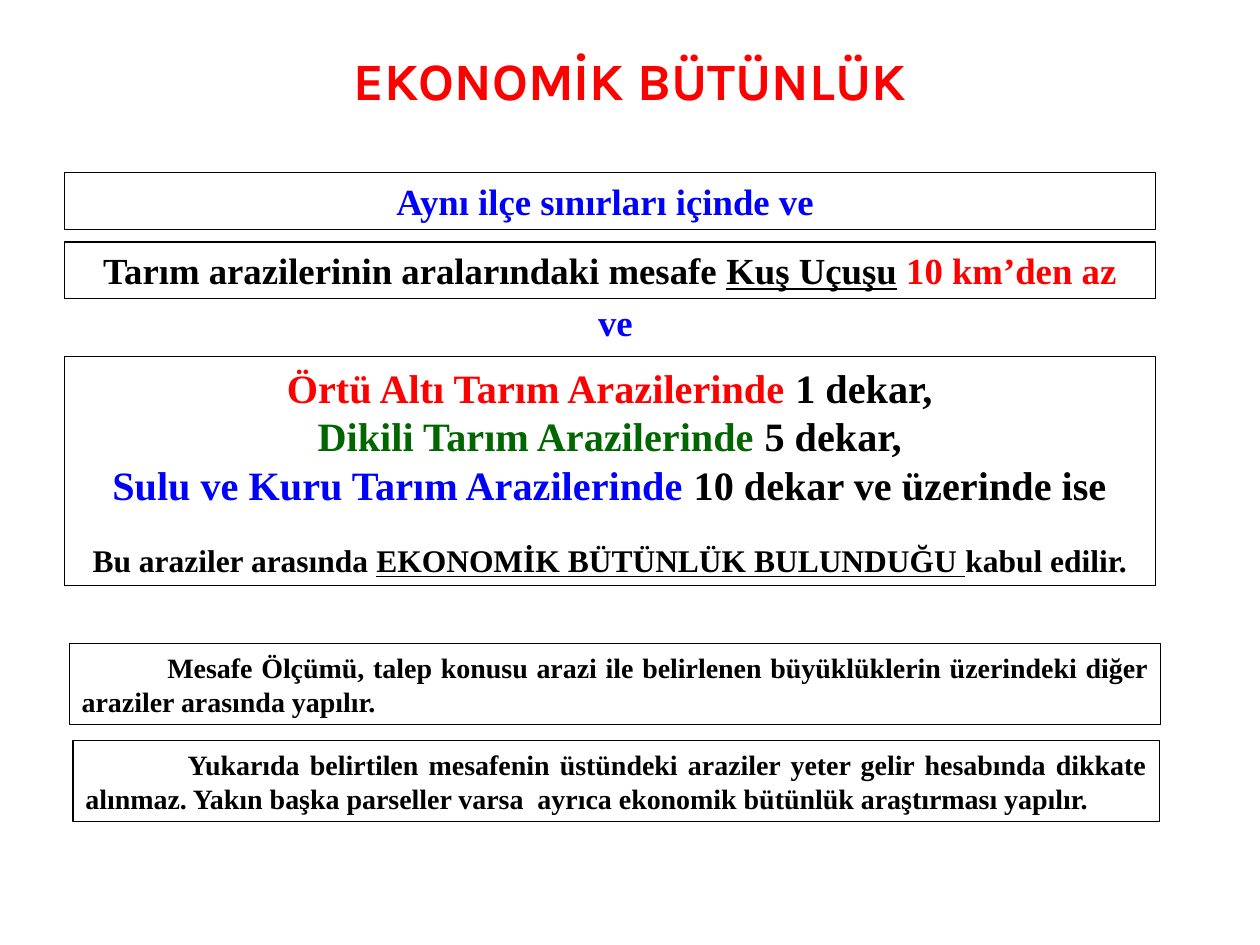
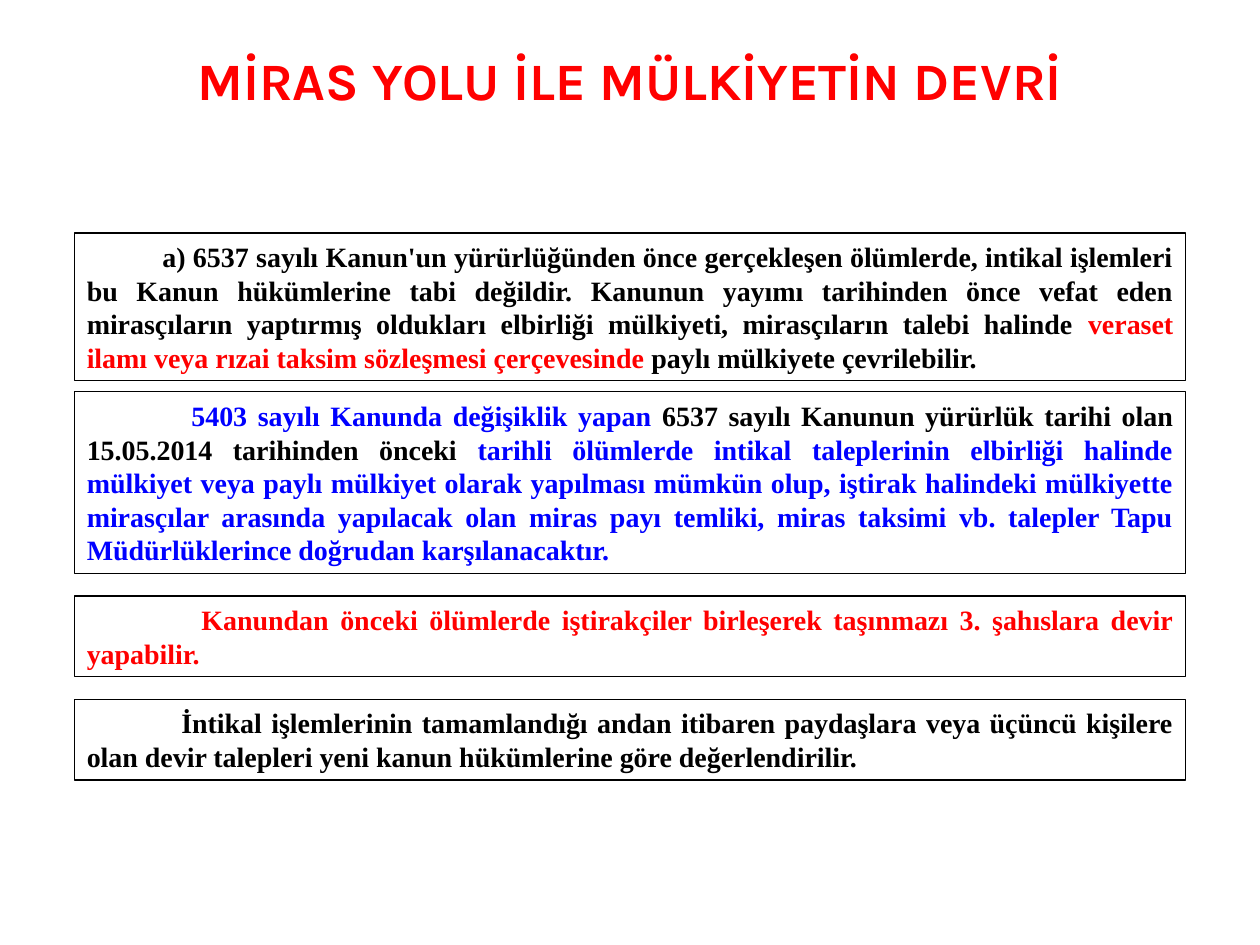
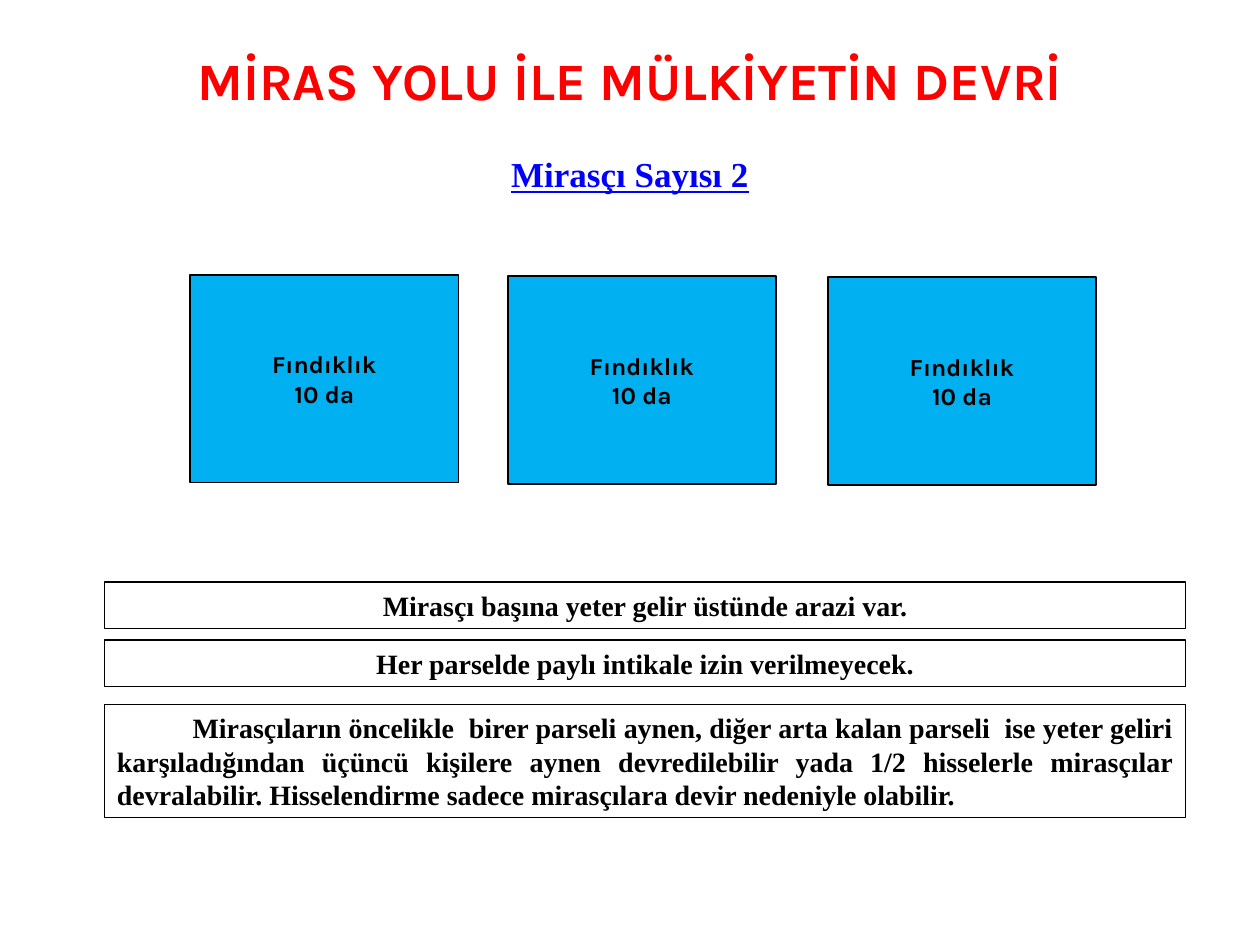
from pptx import Presentation
from pptx.dml.color import RGBColor
from pptx.enum.shapes import MSO_SHAPE as SHAPE
from pptx.enum.text import MSO_ANCHOR as ANCHOR, MSO_AUTO_SIZE as AUTO, PP_ALIGN as ALIGN
from pptx.util import Inches, Pt

BLACK, RED, BLUE, GREEN, SKY = "000000", "FF0000", "0000FF", "006600", "00B0F0"
TITLE_FONT, BODY_FONT = "Karla", "Times New Roman"
INHERITANCE = "MİRAS YOLU İLE MÜLKİYETİN DEVRİ"


def rgb(value):
    return RGBColor.from_string(value)


def write(tf, paragraphs, size, font=BODY_FONT, indent=None):
    """Fill a frame; a paragraph is a list of (text, colour, overrides) runs.

    An indent in inches sets the first line in and justifies the text.
    """
    tf.word_wrap = True
    tf.vertical_anchor = ANCHOR.MIDDLE
    for i, runs in enumerate(paragraphs):
        p = tf.paragraphs[0] if i == 0 else tf.add_paragraph()
        p.alignment = ALIGN.JUSTIFY if indent else ALIGN.CENTER
        if indent:
            p._p.get_or_add_pPr().set("indent", str(Inches(indent)))
        for text, colour, *extra in runs:
            r = p.add_run()
            r.text = text
            look = {"name": font, "size": Pt(size), "bold": True}
            for key, value in (look | (extra[0] if extra else {})).items():
                setattr(r.font, key, value)
            r.font.color.rgb = rgb(colour)


def add_label(slide, box, text, colour, size, font=BODY_FONT, **extra):
    sp = slide.shapes.add_textbox(*map(Inches, box))
    write(sp.text_frame, [[(text, colour, extra)]], size, font)


def add_box(slide, box, paragraphs, size=16, font=BODY_FONT, indent=None, fill=None):
    sp = slide.shapes.add_shape(SHAPE.RECTANGLE, *map(Inches, box))
    sp.shadow.inherit = False
    sp.line.color.rgb = rgb(BLACK)
    sp.line.width = Pt(1 if fill else 0.75)
    if fill:
        sp.fill.solid()
        sp.fill.fore_color.rgb = rgb(fill)
    else:
        sp.fill.background()
        sp.text_frame.auto_size = AUTO.SHAPE_TO_FIT_TEXT
    write(sp.text_frame, paragraphs, size, font, indent)
    return sp


def add_titled_slide(prs, title):
    slide = prs.slides.add_slide(prs.slide_layouts[6])
    add_label(slide, (0, 0.36, 10, 0.55), title, RED, 30, TITLE_FONT)
    return slide


def add_unity_slide(prs):
    slide = add_titled_slide(prs, "EKONOMİK BÜTÜNLÜK")
    left, width = 0.51, 8.66
    add_box(slide, (left, 1.37, width, 0.45),
            [[("Aynı ilçe sınırları içinde ve ", BLUE)]], 21)
    add_box(slide, (left, 1.92, width, 0.45), [[
        ("Tarım arazilerinin aralarındaki mesafe ", BLACK),
        ("Kuş Uçuşu", BLACK, {"underline": True}),
        (" ", BLACK), ("10 km’den az", RED)]], 21)
    add_label(slide, (4.61, 2.33, 0.55, 0.45), "ve", BLUE, 21)

    small = {"size": Pt(18)}
    limits = add_box(slide, (left, 2.83, width, 1.82), [
        [("Örtü Altı Tarım Arazilerinde ", RED), ("1 dekar,", BLACK)],
        [("Dikili Tarım Arazilerinde ", GREEN), ("5 dekar,", BLACK)],
        [("Sulu ve Kuru Tarım Arazilerinde ", BLUE), ("10 dekar ve üzerinde ise", BLACK)],
        [("Bu araziler arasında ", BLACK, small),
         ("EKONOMİK BÜTÜNLÜK BULUNDUĞU ", BLACK, small | {"underline": True}),
         ("kabul edilir.", BLACK, small)]], 23)
    limits.text_frame.paragraphs[-1].space_before = Pt(19)

    add_box(slide, (0.55, 5.11, width, 0.64), [[(
        "Mesafe Ölçümü, talep konusu arazi ile belirlenen büyüklüklerin "
        "üzerindeki diğer araziler arasında yapılır.", BLACK)]], indent=0.68)
    add_box(slide, (0.58, 5.88, 8.62, 0.64), [[(
        "Yukarıda belirtilen mesafenin üstündeki araziler yeter gelir hesabında "
        "dikkate alınmaz. Yakın başka parseller varsa  ayrıca ekonomik bütünlük "
        "araştırması yapılır.", BLACK)]], indent=0.81)


def add_rules_slide(prs):
    slide = add_titled_slide(prs, INHERITANCE)
    rules = [
        (1.85, 1.17, 0.6, [
            ("a) 6537 sayılı Kanun'un yürürlüğünden önce gerçekleşen ölümlerde, "
             "intikal işlemleri bu Kanun hükümlerine tabi değildir. Kanunun yayımı "
             "tarihinden önce vefat eden mirasçıların yaptırmış oldukları elbirliği "
             "mülkiyeti, mirasçıların talebi halinde ", BLACK),
            ("veraset ilamı veya rızai taksim sözleşmesi çerçevesinde", RED),
            (" paylı mülkiyete çevrilebilir.", BLACK)]),
        (3.11, 1.44, 0.83, [
            ("5403 sayılı Kanunda değişiklik yapan ", BLUE),
            ("6537 sayılı Kanunun yürürlük tarihi olan 15.05.2014 tarihinden önceki", BLACK),
            (" tarihli ölümlerde intikal taleplerinin elbirliği halinde mülkiyet veya "
             "paylı mülkiyet olarak yapılması mümkün olup, iştirak halindeki mülkiyette "
             "mirasçılar arasında yapılacak olan miras payı temliki, miras taksimi vb. "
             "talepler Tapu Müdürlüklerince doğrudan karşılanacaktır.", BLUE)]),
        (4.73, 0.64, 0.91, [
            ("Kanundan önceki ölümlerde iştirakçiler birleşerek taşınmazı 3. şahıslara "
             "devir yapabilir.", RED)]),
        (5.55, 0.64, 0.75, [
            ("İntikal işlemlerinin tamamlandığı andan itibaren paydaşlara veya üçüncü "
             "kişilere olan devir talepleri yeni kanun hükümlerine göre "
             "değerlendirilir.", BLACK)]),
    ]
    for top, height, indent, runs in rules:
        add_box(slide, (0.59, top, 8.82, height), [runs], indent=indent)


def add_parcels(slide, left, top, width, height, lefts):
    """Draw one parcel at each offset, every one a little lower than the last."""
    for i, offset in enumerate(lefts):
        add_box(slide, (left + offset, top + 0.01 * i, width, height),
                [[("Fındıklık", BLACK)], [("10 da", BLACK)]], 14, TITLE_FONT, fill=SKY)


def add_heirs_slide(prs):
    slide = add_titled_slide(prs, INHERITANCE)
    add_label(slide, (0, 1.16, 10, 0.44), "Mirasçı Sayısı 2", BLUE, 20, underline=True)
    add_parcels(slide, 1.51, 2.18, 2.13, 1.65, (0, 2.52, 5.06))
    results = [
        (4.62, 0.37, None, "Mirasçı başına yeter gelir üstünde arazi var."),
        (5.08, 0.37, None, "Her parselde paylı intikale izin verilmeyecek."),
        (5.59, 0.9, 0.6,
         "Mirasçıların öncelikle  birer parseli aynen, diğer arta kalan parseli  ise "
         "yeter geliri karşıladığından üçüncü kişilere aynen devredilebilir yada 1/2 "
         "hisselerle mirasçılar devralabilir. Hisselendirme sadece mirasçılara devir "
         "nedeniyle olabilir."),
    ]
    for top, height, indent, text in results:
        add_box(slide, (0.83, top, 8.58, height), [[(text, BLACK)]], indent=indent)


def main():
    prs = Presentation()
    prs.slide_width, prs.slide_height = Inches(10), Inches(7.5)
    add_unity_slide(prs)
    add_rules_slide(prs)
    add_heirs_slide(prs)
    prs.save("out.pptx")


if __name__ == "__main__":
    main()
